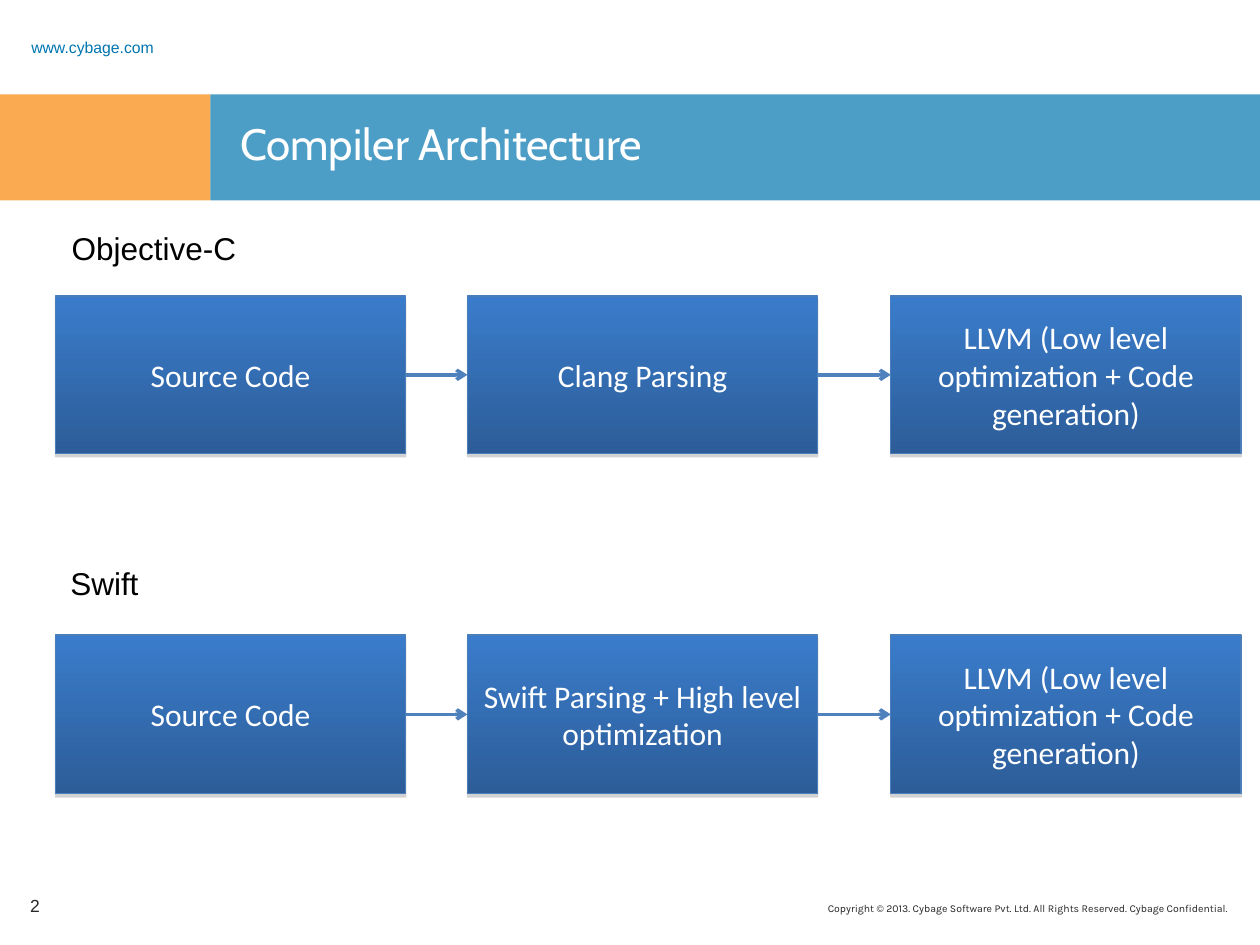
from lxml.etree import SubElement
from pptx import Presentation
from pptx.dml.color import RGBColor
from pptx.enum.shapes import MSO_CONNECTOR, MSO_SHAPE
from pptx.enum.text import MSO_ANCHOR, MSO_AUTO_SIZE, PP_ALIGN
from pptx.oxml.ns import qn
from pptx.util import Inches, Pt

COLORS = {
    "orange": "F88608", "blue": "0075B0", "white": "FFFFFF", "black": "000000",
    "dark": "262626", "box_top": "3A7CCB", "box_bottom": "2C5D98",
    "box_line": "4A7EBB", "arrow": "4F81BD", "shadow": "808080",
}


def rgb(name):
    return RGBColor.from_string(COLORS[name])


def write(s, text, size, font, color, align=PP_ALIGN.LEFT, **frame):
    tf = s.text_frame
    for name, value in {"word_wrap": True, **frame}.items():
        setattr(tf, name, value)
    p = tf.paragraphs[0]
    p.alignment = align
    r = p.add_run()
    r.text = text
    for name, value in {"size": Pt(size), "name": font}.items():
        setattr(r.font, name, value)
    r.font.color.rgb = rgb(color)
    return p


prs = Presentation()
prs.slide_width, prs.slide_height = Inches(10), Inches(7.5)
slide = prs.slides.add_slide(prs.slide_layouts[6])
shapes = slide.shapes

# Title band: two translucent bars
for left, width, color in [(0, 1.67, "orange"), (1.67, 8.33, "blue")]:
    s = shapes.add_shape(MSO_SHAPE.RECTANGLE, Inches(left), Inches(0.75),
                         Inches(width), Inches(0.84))
    s.shadow.inherit = False
    s.fill.solid()
    s.fill.fore_color.rgb = rgb(color)
    s.line.fill.background()
    clr = s._element.spPr.find(qn("a:solidFill"))[0]
    SubElement(clr, qn("a:alpha"), val="70000")

# Header, title, row headings and footer
MIDDLE = {"vertical_anchor": MSO_ANCHOR.MIDDLE}
LABEL = {"word_wrap": False, "auto_size": MSO_AUTO_SIZE.SHAPE_TO_FIT_TEXT}
texts = [
    ((4.08, 7.11, 5.76, 0.26), "Copyright © 2013. Cybage Software Pvt. Ltd. "
     "All Rights Reserved. Cybage Confidential.", 6, "Karla", "dark",
     {"align": PP_ALIGN.RIGHT}),
    ((0.15, 0.24, 1.5, 0.19), "www.cybage.com", 9, "Arial", "blue", MIDDLE),
    ((1.81, 0.88, 7.94, 0.62), "Compiler Architecture", 25, "Cabin", "white", {}),
    ((0.14, 6.99, 0.54, 0.4), "2", 10, "Arial", "dark", MIDDLE),
    ((0.47, 1.77, 1.51, 0.4), "Objective-C", 18, "Arial", "black", LABEL),
    ((0.46, 4.43, 0.74, 0.4), "Swift", 18, "Arial", "black", LABEL),
]
for box, text, size, font, color, options in texts:
    s = shapes.add_textbox(*[Inches(v) for v in box])
    p = write(s, text, size, font, color, **options)
    if text.startswith("www"):
        p.line_spacing = 1.5

# Compiler pipelines: three boxes per row, joined by arrows
BACKEND = "LLVM (Low level optimization + Code generation)"
rows = [
    (2.35, 1.25, ["Source Code", "Clang Parsing", BACKEND]),
    (5.04, 1.26, ["Source Code", "Swift Parsing + High level optimization", BACKEND]),
]
for top, height, steps in rows:
    previous = None
    for left, text in zip([0.44, 3.71, 7.07], steps):
        s = shapes.add_shape(MSO_SHAPE.RECTANGLE, Inches(left), Inches(top),
                             Inches(2.78), Inches(height))
        s.fill.gradient()
        s.fill.gradient_angle = 270
        for stop, color in zip(s.fill.gradient_stops, ["box_top", "box_bottom"]):
            stop.color.rgb = rgb(color)
        s.line.color.rgb = rgb("box_line")
        s.line.width = Pt(0.75)
        write(s, text, 18, "Calibri", "white", PP_ALIGN.CENTER, **MIDDLE)

        # Thin shadow straight below the box
        s.shadow.inherit = False
        effects = s._element.spPr.find(qn("a:effectLst"))
        shadow = SubElement(effects, qn("a:outerShdw"), blurRad="0",
                            dist=str(Pt(1.8)), dir="5400000", rotWithShape="0")
        clr = SubElement(shadow, qn("a:srgbClr"), val=COLORS["shadow"])
        SubElement(clr, qn("a:alpha"), val="35000")

        # Arrow from the previous box
        if previous is not None:
            c = shapes.add_connector(MSO_CONNECTOR.STRAIGHT, 0, 0, 0, 0)
            c.begin_connect(previous, 3)
            c.end_connect(s, 1)
            c.line.color.rgb = rgb("arrow")
            c.line.width = Pt(2)
            SubElement(c.line._get_or_add_ln(), qn("a:tailEnd"), type="arrow")
            SubElement(c._element.spPr, qn("a:effectLst"))
        previous = s

prs.save("out.pptx")
